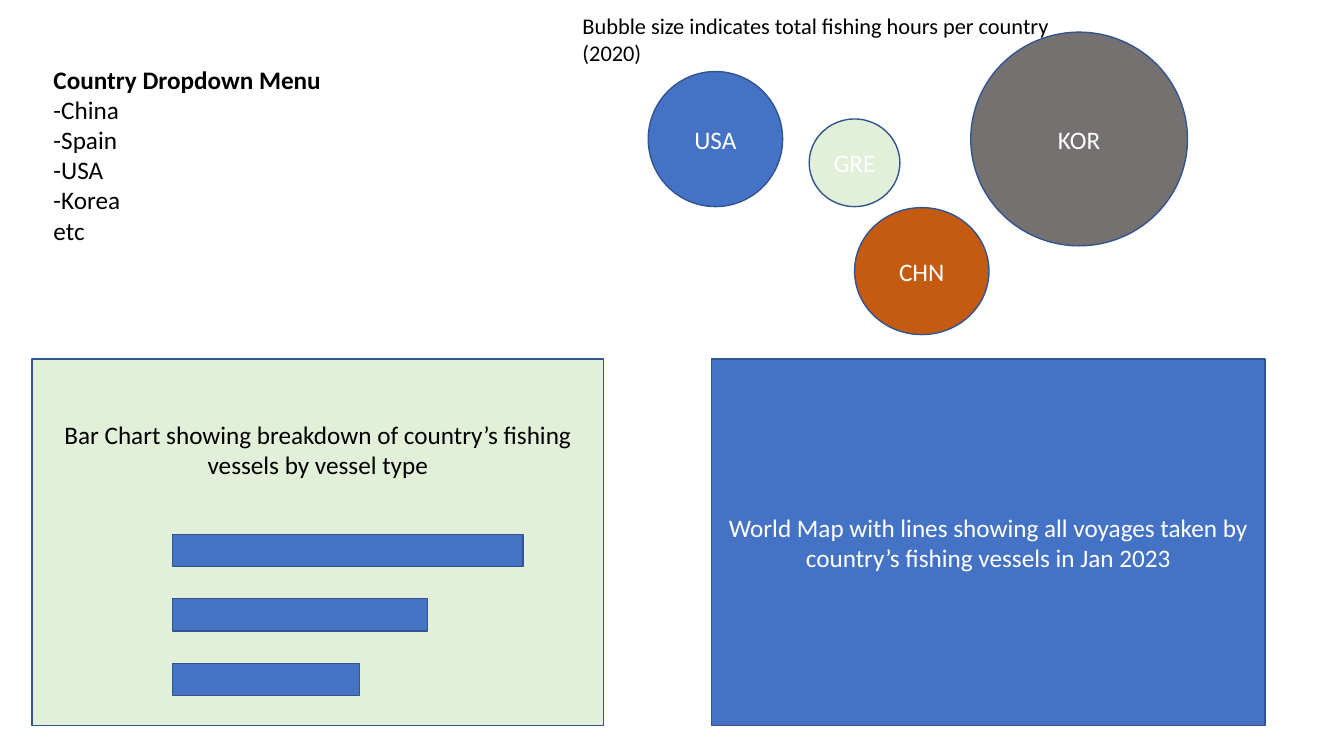
from pptx import Presentation
from pptx.dml.color import RGBColor
from pptx.enum import shapes, text
from pptx.oxml.ns import qn
from pptx.util import Pt

BLUE, GREEN, GREY, ORANGE = "4472C4", "E2F0D9", "767171", "C55A11"
OUTLINE, WHITE, BLACK = "325491", "FFFFFF", "000000"
RECTANGLE = shapes.MSO_SHAPE.RECTANGLE
OVAL = shapes.MSO_SHAPE.OVAL


def rgb(value):
    return RGBColor.from_string(value)


class Sketch:
    """Holds the style and the current slide."""
    font = "Calibri"
    size = 18

    def __init__(self, slide):
        self.slide = slide

    def set_words(self, shape, words, color, size=None, bold=False,
                  align=text.PP_ALIGN.LEFT, anchor=text.MSO_ANCHOR.TOP):
        frame = shape.text_frame
        frame.text = words
        frame.word_wrap = True
        frame.auto_size = text.MSO_AUTO_SIZE.NONE
        frame.vertical_anchor = anchor
        for paragraph in frame.paragraphs:
            paragraph.alignment = align
            paragraph.space_before = Pt(0)
            for run in paragraph.runs:
                run.font.name = self.font
                run.font.size = Pt(size or self.size)
                run.font.bold = bold
                run.font.color.rgb = rgb(color)

    def placeholder(self, index, box, words, bold=False):
        shape = self.slide.placeholders[index]
        shape.left, shape.top, shape.width, shape.height = map(Pt, box)
        self.set_words(shape, words, BLACK, bold=bold)
        return shape

    def plain_list(self, index, box, items):
        shape = self.placeholder(index, box, "\n".join(items))
        for paragraph in shape.text_frame.paragraphs:
            properties = paragraph._p.get_or_add_pPr()
            properties.set("marL", "0")
            properties.set("indent", "0")
            properties.append(properties.makeelement(qn("a:buNone"), {}))

    def label(self, box, words, size):
        shape = self.slide.shapes.add_textbox(*map(Pt, box))
        self.set_words(shape, words, BLACK, size)

    def shape(self, kind, box, fill, words="", color=WHITE,
              anchor=text.MSO_ANCHOR.MIDDLE):
        shape = self.slide.shapes.add_shape(kind, *map(Pt, box))
        shape.shadow.inherit = False
        shape.fill.solid()
        shape.fill.fore_color.rgb = rgb(fill)
        shape.line.color.rgb = rgb(OUTLINE)
        shape.line.width = Pt(1)
        if words:
            self.set_words(shape, words, color,
                           align=text.PP_ALIGN.CENTER, anchor=anchor)
        return shape


presentation = Presentation()
presentation.slide_width, presentation.slide_height = Pt(960), Pt(540)
sketch = Sketch(presentation.slides.add_slide(presentation.slide_layouts[1]))

# Country menu
sketch.placeholder(0, (31, 42, 206, 26), "Country Dropdown Menu", bold=True)
sketch.plain_list(1, (31, 63.5, 206, 117),
                  ["-China", "-Spain", "-USA", "-Korea", "etc"])

# Lower panels
panel_top, panel_height = 256.3, 262
sketch.shape(RECTANGLE, (508.3, panel_top, 395.3, panel_height), BLUE,
             "World Map with lines showing all voyages taken by "
             "country’s fishing vessels in Jan 2023")
bar_panel = sketch.shape(
    RECTANGLE, (23, panel_top, 408.2, panel_height), GREEN,
    "Bar Chart showing breakdown of country’s fishing vessels by vessel type",
    BLACK, text.MSO_ANCHOR.TOP)
bar_panel.text_frame.margin_top = Pt(43)

# Sketched bars
for row, length in enumerate((250.6, 182.2, 133.9)):
    sketch.shape(RECTANGLE, (123.1, 381.6 + 46.1 * row, length, 23), BLUE)

# Country bubbles
bubbles = [
    ("USA", BLUE, (463, 51.1, 96, 96.5)),
    ("GRE", GREEN, (578, 85, 64.8, 62.6)),
    ("KOR", GREY, (693.4, 23, 154.8, 152.6)),
    ("CHN", ORANGE, (610.4, 148.3, 96, 90.7)),
]
for country, fill, box in bubbles:
    sketch.shape(OVAL, box, fill, country)

# Bubble caption
sketch.label((409, 5, 384.5, 46),
             "Bubble size indicates total fishing hours per country (2020)", 16)

presentation.save("out.pptx")
